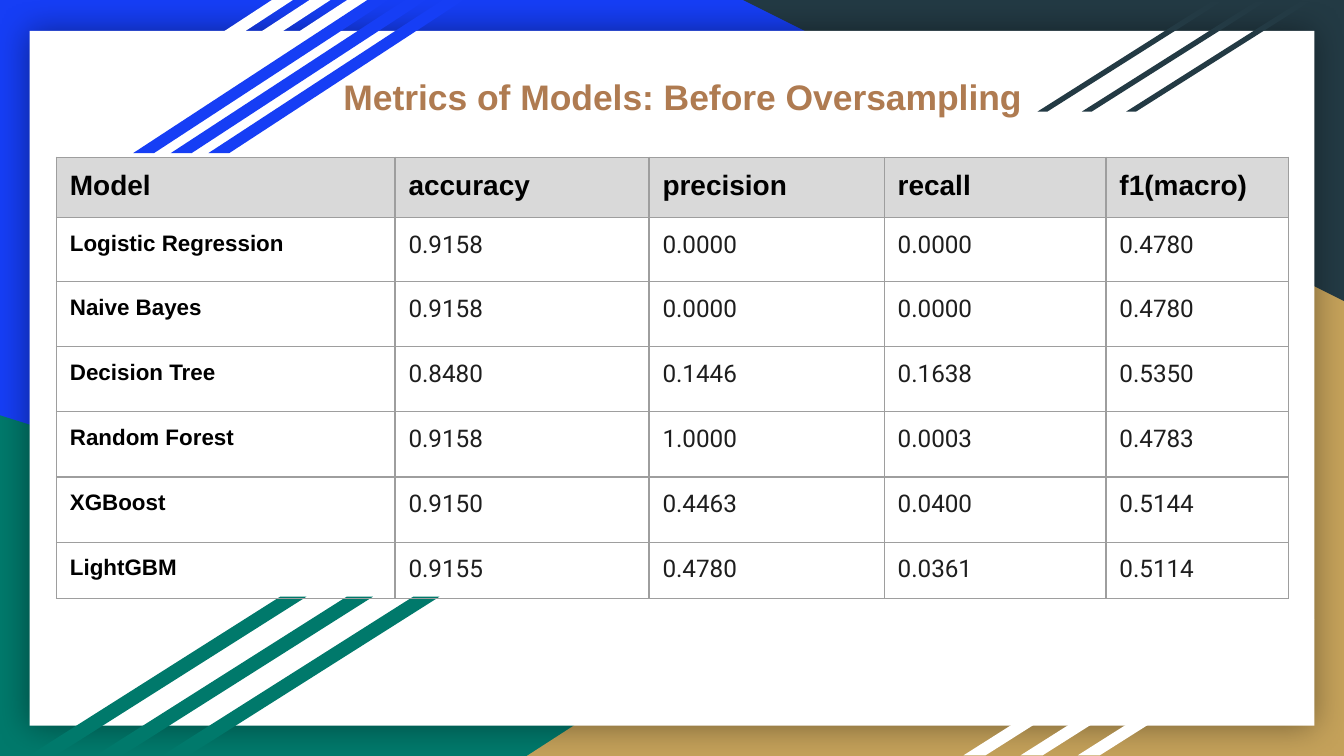
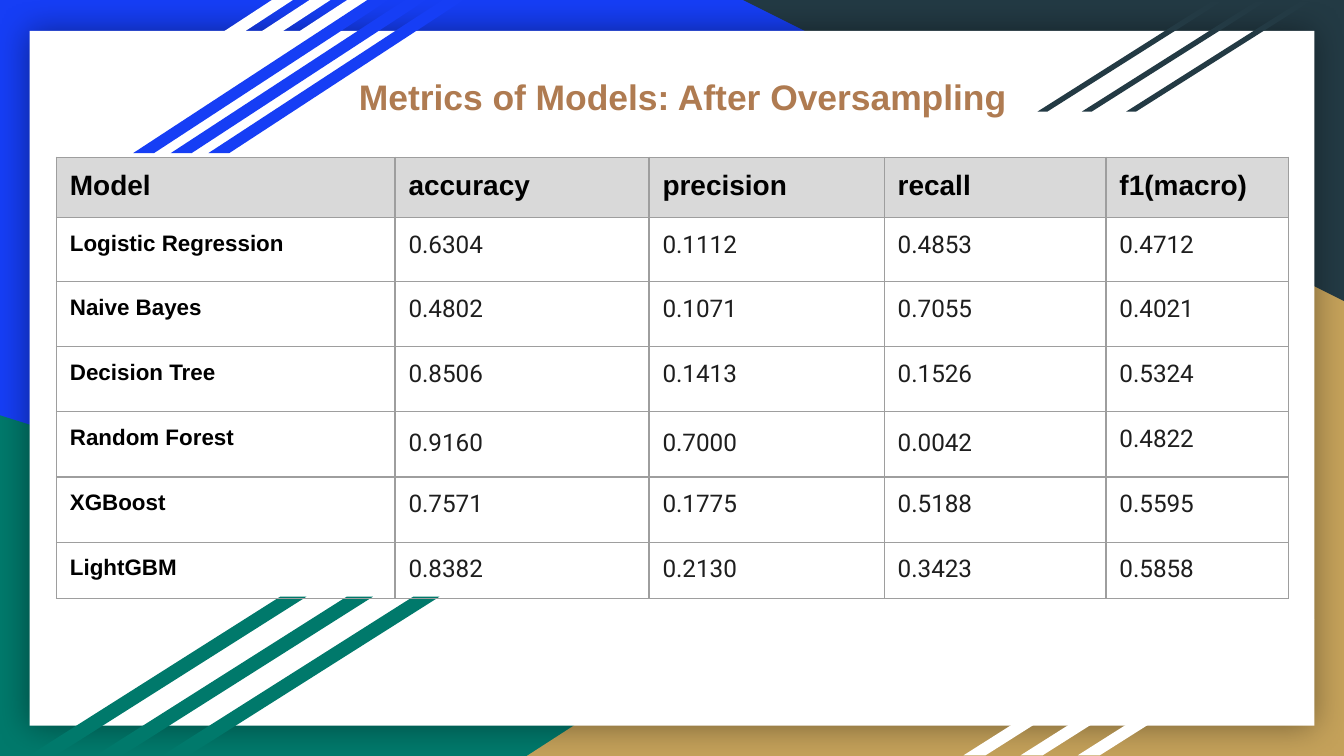
from lxml import etree
from pptx import Presentation
from pptx.dml.color import RGBColor
from pptx.enum.shapes import MSO_SHAPE
from pptx.enum.text import MSO_ANCHOR, MSO_AUTO_SIZE, PP_ALIGN
from pptx.oxml.ns import qn
from pptx.util import Inches, Pt

TRIANGLE = MSO_SHAPE.RIGHT_TRIANGLE
RECTANGLE = MSO_SHAPE.RECTANGLE
PARALLELOGRAM = MSO_SHAPE.PARALLELOGRAM
TOP = MSO_ANCHOR.TOP
FIT_SHAPE = MSO_AUTO_SIZE.SHAPE_TO_FIT_TEXT
CENTER = PP_ALIGN.CENTER

BLUE = RGBColor(0x16, 0x3E, 0xF5)
TEAL = RGBColor(0x00, 0x79, 0x6B)
GOLD = RGBColor(0xC4, 0xA1, 0x5A)
SLATE = RGBColor(0x23, 0x3A, 0x44)
WHITE = RGBColor(0xFF, 0xFF, 0xFF)
BLACK = RGBColor(0x00, 0x00, 0x00)
BRONZE = RGBColor(0xAF, 0x7B, 0x51)
INK = RGBColor(0x1E, 0x1E, 0x1E)
HEADER_GRAY = RGBColor(0xD9, 0xD9, 0xD9)
BORDER_GRAY = RGBColor(0x9E, 0x9E, 0x9E)

GRID_COLUMNS = 100
GRID_ROWS = 56.25
TITLE_ONLY = 5
STRIPES_PER_GROUP = 3

STRIPE_GROUPS = [
    (2.8, 0, 19, 11.4, 2.8, 1.53, WHITE),
    (9.9, 0, 19, 11.4, 2.8, 1.53, BLUE),
    (77.2, 0.1, 13.7, 8.2, 3.3, 1.58, SLATE),
    (71.7, 46.1, 17.6, 10.1, 4.25, 1.58, WHITE),
    (2.2, 44.4, 20.6, 11.8, 4.95, 1.58, TEAL),
]

COLUMN_WIDTHS = [25.2, 18.9, 17.5, 16.5, 13.6]
BODY_HEIGHTS = [4.75, 4.85, 4.85, 4.85, 4.85, 4.15]
HEADINGS = ["Model", "accuracy", "precision", "recall", "f1(macro)"]
MODELS = ["Logistic Regression", "Naive Bayes", "Decision Tree",
          "Random Forest", "XGBoost", "LightGBM"]

BEFORE = [
    ["0.9158", "0.0000", "0.0000", "0.4780"],
    ["0.9158", "0.0000", "0.0000", "0.4780"],
    ["0.8480", "0.1446", "0.1638", "0.5350"],
    ["0.9158", "1.0000", "0.0003", "0.4783"],
    ["0.9150", "0.4463", "0.0400", "0.5144"],
    ["0.9155", "0.4780", "0.0361", "0.5114"],
]
AFTER = [
    ["0.6304", "0.1112", "0.4853", "0.4712"],
    ["0.4802", "0.1071", "0.7055", "0.4021"],
    ["0.8506", "0.1413", "0.1526", "0.5324"],
    ["0.9160", "0.7000", "0.0042", "0.4822"],
    ["0.7571", "0.1775", "0.5188", "0.5595"],
    ["0.8382", "0.2130", "0.3423", "0.5858"],
]


class MetricsDeck:
    def __init__(self):
        self.deck = Presentation()
        self.deck.slide_width = Inches(10)
        self.deck.slide_height = self.deck.slide_width * 9 // 16
        self.page = None

    def x(self, columns):
        return round(self.deck.slide_width * columns / GRID_COLUMNS)

    def y(self, rows):
        return round(self.deck.slide_height * rows / GRID_ROWS)

    def place(self, left, top, width, height):
        return self.x(left), self.y(top), self.x(width), self.y(height)

    def style(self, para, size, color, name="Arial", bold=True):
        para.font.size = Pt(size)
        para.font.name = name
        para.font.bold = bold
        para.font.color.rgb = color

    def inset(self, holder):
        holder.margin_left = holder.margin_right = Inches(0.1)
        holder.margin_top = holder.margin_bottom = Inches(0.1)

    def shape(self, kind, area, color, shapes=None):
        shape = (shapes or self.page.shapes).add_shape(kind, *self.place(*area))
        shape.shadow.inherit = False
        shape.fill.solid()
        shape.fill.fore_color.rgb = color
        shape.line.fill.background()
        return shape

    def card(self):
        card = self.shape(RECTANGLE, (2.2, 2.3, 95.6, 51.7), WHITE)
        effects = card.element.spPr.find(qn("a:effectLst"))
        shadow = etree.SubElement(effects, qn("a:outerShdw"), blurRad=str(Pt(18)),
                                  dist="0", dir="0", algn="ctr", rotWithShape="0")
        color = etree.SubElement(shadow, qn("a:srgbClr"), val=str(BLACK))
        etree.SubElement(color, qn("a:alpha"), val="40000")

    def stripes(self, left, top, width, height, step, slant, color):
        group = self.page.shapes.add_group_shape()
        for index in reversed(range(STRIPES_PER_GROUP)):
            area = (left + index * step, top, width, height)
            stripe = self.shape(PARALLELOGRAM, area, color, group.shapes)
            stripe.adjustments[0] = slant

    def backdrop(self):
        self.page.background.fill.solid()
        self.page.background.fill.fore_color.rgb = BLUE
        self.shape(TRIANGLE, (0, 30.9, 80.6, 25.35), TEAL)
        right = self.shape(TRIANGLE, (39.2, 17, 60.8, 39.25), GOLD)
        right.element.spPr.find(qn("a:xfrm")).set("flipH", "1")
        self.shape(TRIANGLE, (55.3, 0, 44.7, 22.4), SLATE).rotation = 180
        self.card()
        for group in STRIPE_GROUPS:
            self.stripes(*group)

    def title(self, text):
        title = self.page.shapes.title
        self.page.shapes.element.append(title.element)
        title.left, title.top, title.width, title.height = self.place(15.6, 4.6, 70.4, 5.2)
        frame = title.text_frame
        frame.text = text
        frame.word_wrap = True
        frame.auto_size = FIT_SHAPE
        frame.vertical_anchor = TOP
        self.inset(frame)
        para = frame.paragraphs[0]
        para.alignment = CENTER
        self.style(para, 19, BRONZE)

    def new_page(self, title):
        self.page = self.deck.slides.add_slide(self.deck.slide_layouts[TITLE_ONLY])
        self.backdrop()
        self.title(title)

    def borders(self, cell):
        properties = cell._tc.get_or_add_tcPr()
        for side in ("lnL", "lnR", "lnT", "lnB"):
            line = etree.SubElement(properties, qn(f"a:{side}"), w=str(Pt(0.75)))
            fill = etree.SubElement(line, qn("a:solidFill"))
            etree.SubElement(fill, qn("a:srgbClr"), val=str(BORDER_GRAY))

    def cell(self, cell, text, is_header, is_label):
        self.borders(cell)
        self.inset(cell)
        cell.text = text
        para = cell.text_frame.paragraphs[0]
        if is_header:
            cell.fill.solid()
            cell.fill.fore_color.rgb = HEADER_GRAY
            self.style(para, 15, BLACK)
        else:
            cell.fill.background()
            if is_label:
                self.style(para, 12, BLACK)
            else:
                self.style(para, 13, INK, "Roboto", False)

    def metrics_table(self, scores, header_height):
        rows = [HEADINGS] + [[model, *values] for model, values in zip(MODELS, scores)]
        heights = [header_height] + BODY_HEIGHTS
        area = self.place(4.2, 11.7, sum(COLUMN_WIDTHS), sum(heights))
        table = self.page.shapes.add_table(len(rows), len(HEADINGS), *area).table
        table.first_row = False
        table.horz_banding = False
        for column, width in zip(table.columns, COLUMN_WIDTHS):
            column.width = self.x(width)
        for row, height in zip(table.rows, heights):
            row.height = self.y(height)
        for row_index, texts in enumerate(rows):
            for column_index, text in enumerate(texts):
                self.cell(table.cell(row_index, column_index), text,
                          row_index == 0, column_index == 0)
        return table

    def loosen(self, cell):
        para = cell.text_frame.paragraphs[0]
        para.line_spacing = 1.15
        para.space_before = para.space_after = Pt(3)


def main():
    metrics = MetricsDeck()

    metrics.new_page("Metrics of Models: Before Oversampling")
    metrics.metrics_table(BEFORE, 4.5)

    metrics.new_page("Metrics of Models: After Oversampling")
    table = metrics.metrics_table(AFTER, 4.3)
    forest_row = MODELS.index("Random Forest") + 1
    for column in range(1, 4):
        metrics.loosen(table.cell(forest_row, column))

    metrics.deck.save("out.pptx")


if __name__ == "__main__":
    main()
